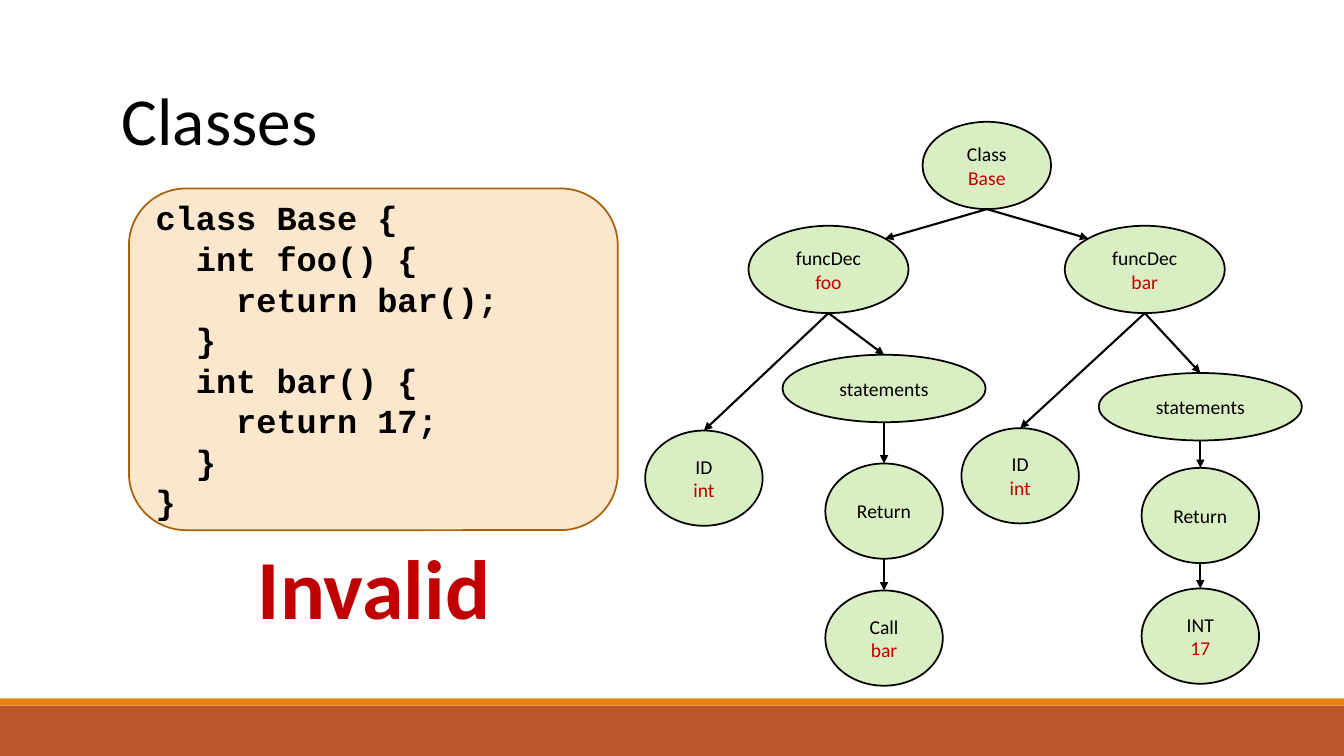
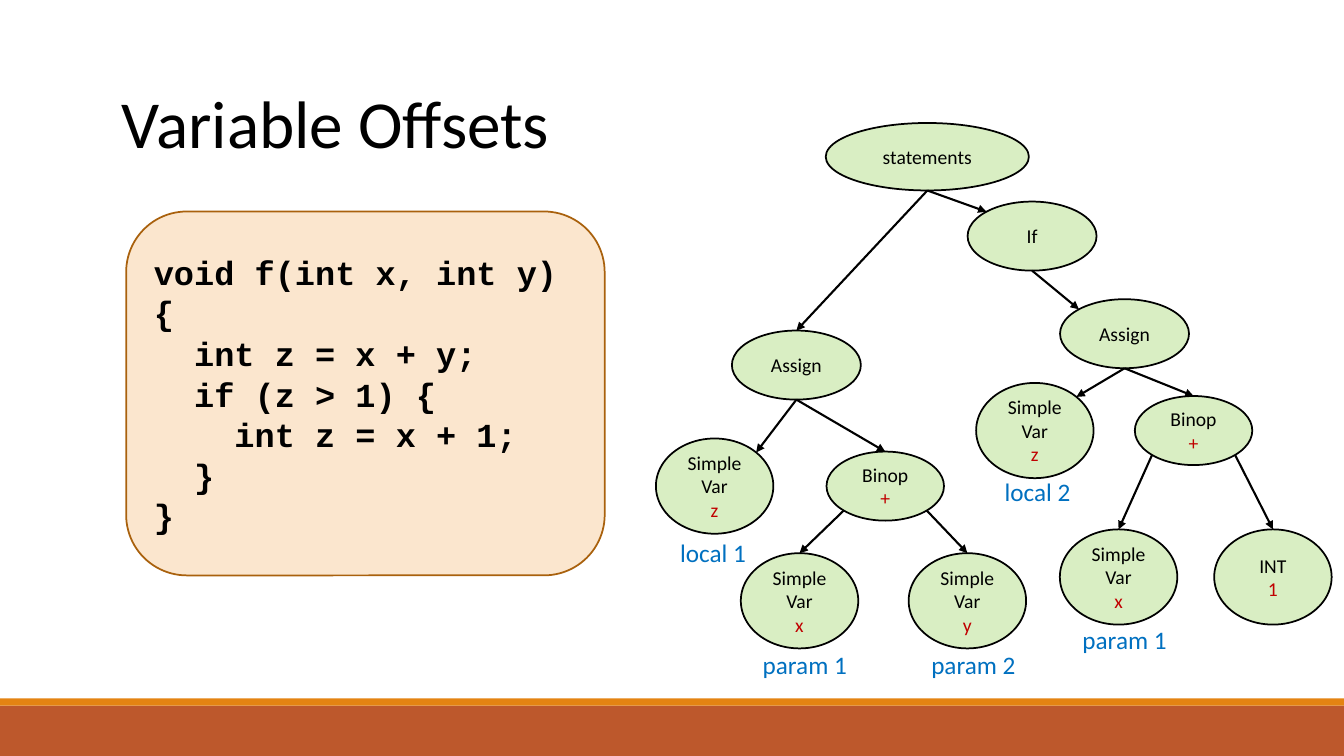
from math import sqrt

from lxml.etree import SubElement
from pptx import Presentation
from pptx.dml.color import RGBColor
from pptx.enum.shapes import MSO_CONNECTOR, MSO_SHAPE
from pptx.enum.text import MSO_ANCHOR, PP_ALIGN
from pptx.oxml.ns import qn
from pptx.util import Cm, Pt

BLACK = RGBColor(0x00, 0x00, 0x00)
RED = RGBColor(0xC0, 0x00, 0x00)
BLUE = RGBColor(0x00, 0x70, 0xC0)
GREEN = RGBColor(0x92, 0xD0, 0x50)
CREAM = RGBColor(0xFB, 0xE6, 0xCE)
BROWN = RGBColor(0xA9, 0x61, 0x0D)
RUST = RGBColor(0xBD, 0x58, 0x2C)
ORANGE = RGBColor(0xE4, 0x83, 0x12)

WIDTH, HEIGHT = 33.87, 19.05
BANDS = [(17.78, 1.27, RUST), (17.6, 0.18, ORANGE)]

CLASS, FUNCTION, STATEMENTS = (3.24, 2.2), (4.03, 2.2), (5.12, 1.7)
LEAF, STEP, BINOP = (2.96, 2.4), (3.25, 1.74), (2.96, 1.74)

TOP, TOP_LEFT, BOTTOM_LEFT, BOTTOM, BOTTOM_RIGHT, TOP_RIGHT = 0, 1, 3, 4, 5, 7
DIAGONAL = sqrt(0.5)
SITES = {
    TOP: (0, -1),
    TOP_LEFT: (-DIAGONAL, -DIAGONAL),
    BOTTOM_LEFT: (-DIAGONAL, DIAGONAL),
    BOTTOM: (0, 1),
    BOTTOM_RIGHT: (DIAGONAL, DIAGONAL),
    TOP_RIGHT: (DIAGONAL, -DIAGONAL),
}

# nodes: size, centre, top, words, value
SLIDES = [
    {
        "title": ("Classes", 1.85),
        "code": ((3.25, 4.75, 12.32, 8.61), [
            "class Base {",
            "  int foo() {",
            "    return bar();",
            "  }",
            "  int bar() {",
            "    return 17;",
            "  }",
            "}",
        ]),
        "verdict": "Invalid",
        "nodes": {
            "class": (CLASS, 24.87, 3.07, ["Class"], "Base"),
            "foo": (FUNCTION, 20.88, 5.69, ["funcDec"], "foo"),
            "foo id": (LEAF, 17.74, 10.85, ["ID"], "int"),
            "foo statements": (STATEMENTS, 22.28, 8.94, ["statements"], None),
            "foo return": (LEAF, 22.28, 11.68, ["Return"], None),
            "call": (LEAF, 22.28, 14.88, ["Call"], "bar"),
            "bar": (FUNCTION, 28.85, 5.69, ["funcDec"], "bar"),
            "bar id": (LEAF, 25.71, 10.79, ["ID"], "int"),
            "bar statements": (STATEMENTS, 30.25, 9.4, ["statements"], None),
            "bar return": (LEAF, 30.25, 11.79, ["Return"], None),
            "number": (LEAF, 30.25, 14.83, ["INT"], "17"),
        },
        "arrows": [
            ("class", BOTTOM, "foo", TOP_RIGHT),
            ("class", BOTTOM, "bar", TOP_LEFT),
            ("foo", BOTTOM, "foo id", TOP),
            ("foo", BOTTOM, "foo statements", TOP),
            ("foo statements", BOTTOM, "foo return", TOP),
            ("foo return", BOTTOM, "call", TOP),
            ("bar", BOTTOM, "bar id", TOP),
            ("bar", BOTTOM, "bar statements", TOP),
            ("bar statements", BOTTOM, "bar return", TOP),
            ("bar return", BOTTOM, "number", TOP),
        ],
        "labels": [],
    },
    {
        "title": ("Variable Offsets", 1.93),
        "code": ((3.18, 5.33, 12.06, 9.17), [
            "void f(int x, int y){",
            "  int z = x + y;",
            "  if (z > 1) {",
            "    int z = x + 1;",
            "  }",
            "}",
        ]),
        "verdict": None,
        "nodes": {
            "statements": (STATEMENTS, 23.37, 3.1, ["statements"], None),
            "if": (STEP, 26.01, 5.08, ["If"], None),
            "outer assign": (STEP, 20.07, 8.33, ["Assign"], None),
            "outer z": (LEAF, 18.01, 11.05, ["Simple", "Var"], "z"),
            "outer sum": (BINOP, 22.31, 11.38, ["Binop"], "+"),
            "outer x": (LEAF, 20.15, 13.94, ["Simple", "Var"], "x"),
            "outer y": (LEAF, 24.38, 13.94, ["Simple", "Var"], "y"),
            "inner assign": (STEP, 28.34, 7.54, ["Assign"], None),
            "inner z": (LEAF, 26.08, 9.65, ["Simple", "Var"], "z"),
            "inner sum": (BINOP, 30.08, 9.98, ["Binop"], "+"),
            "inner x": (LEAF, 28.19, 13.34, ["Simple", "Var"], "x"),
            "number": (LEAF, 32.08, 13.34, ["INT"], "1"),
        },
        "arrows": [
            ("statements", BOTTOM, "if", TOP_LEFT),
            ("statements", BOTTOM, "outer assign", TOP),
            ("outer assign", BOTTOM, "outer z", TOP_RIGHT),
            ("outer assign", BOTTOM, "outer sum", TOP),
            ("outer sum", BOTTOM_LEFT, "outer x", TOP),
            ("outer sum", BOTTOM_RIGHT, "outer y", TOP),
            ("if", BOTTOM, "inner assign", TOP_LEFT),
            ("inner assign", BOTTOM, "inner z", TOP_RIGHT),
            ("inner assign", BOTTOM, "inner sum", TOP),
            ("inner sum", BOTTOM_LEFT, "inner x", TOP),
            ("inner sum", BOTTOM_RIGHT, "number", TOP),
        ],
        "labels": [
            ("local 1", 16.89, 13.41),
            ("param 1", 18.97, 16.23),
            ("param 2", 23.22, 16.23),
            ("local 2", 25.07, 11.89),
            ("param 1", 27.03, 15.6),
        ],
    },
]


def write(box, lines, size, color=BLACK, font="Calibri", bold=False,
          align=PP_ALIGN.LEFT, anchor=MSO_ANCHOR.TOP, spacing=None):
    frame = box.text_frame
    frame.word_wrap = True
    frame.vertical_anchor = anchor
    for index, line in enumerate(lines):
        para = frame.add_paragraph() if index else frame.paragraphs[0]
        para.alignment = align
        para.line_spacing = spacing
        span = para.add_run()
        span.text = line
        span.font.name = font
        span.font.size = Pt(size)
        span.font.bold = bold
        span.font.color.rgb = color
    return frame


def add_text(page, place, text, size, **style):
    box = page.shapes.add_textbox(*map(Cm, place))
    write(box, [text], size, **style)


def add_shape(page, kind, place, fill, line=None):
    shape = page.shapes.add_shape(kind, *map(Cm, place))
    shape.shadow.inherit = False
    shape.fill.solid()
    shape.fill.fore_color.rgb = fill
    if line is None:
        shape.line.fill.background()
    else:
        shape.line.color.rgb = line
        shape.line.width = Pt(1.25)
    return shape


def add_node(page, size, centre, top, words, value):
    width, height = size
    place = (centre - width / 2, top, width, height)
    node = add_shape(page, MSO_SHAPE.OVAL, place, GREEN, BLACK)
    color = node.element.spPr.find(qn("a:solidFill"))[0]
    SubElement(color, qn("a:alpha"), val="34000")
    lines = words + [value] if value else words
    frame = write(node, lines, 14, align=PP_ALIGN.CENTER, anchor=MSO_ANCHOR.MIDDLE)
    if value:
        frame.paragraphs[-1].runs[0].font.color.rgb = RED
    return node


def site_point(node, site):
    across, down = SITES[site]
    return (round(node.left + node.width * (1 + across) / 2),
            round(node.top + node.height * (1 + down) / 2))


def add_arrow(page, start, start_site, end, end_site):
    arrow = page.shapes.add_connector(
        MSO_CONNECTOR.STRAIGHT, *site_point(start, start_site), *site_point(end, end_site))
    arrow.line.color.rgb = BLACK
    arrow.line.width = Pt(1.5)
    ends = arrow.element.nvCxnSpPr.cNvCxnSpPr
    for tag, node, site in (("a:stCxn", start, start_site), ("a:endCxn", end, end_site)):
        SubElement(ends, qn(tag), id=str(node.shape_id), idx=str(site))
    properties = arrow.element.spPr
    SubElement(properties.find(qn("a:ln")), qn("a:tailEnd"), type="triangle")
    SubElement(properties, qn("a:effectLst"))


def add_bands(deck, page):
    for top, height, color in BANDS:
        band = add_shape(page, MSO_SHAPE.RECTANGLE, (0, top, WIDTH, height), color)
        deck.slide_master.shapes.element.append(band.element)


def build_slide(page, content):
    title, title_top = content["title"]
    add_text(page, (2.82, title_top, 28.17, 2.31), title, 48)
    place, lines = content["code"]
    panel = add_shape(page, MSO_SHAPE.ROUNDED_RECTANGLE, place, CREAM, BROWN)
    write(panel, lines, 24, font="Courier New", bold=True,
          anchor=MSO_ANCHOR.MIDDLE, spacing=Pt(29))
    if content["verdict"]:
        add_text(page, (5.54, 13.36, 7.77, 2.82), content["verdict"], 60,
                 color=RED, bold=True, align=PP_ALIGN.CENTER)
    nodes = {name: add_node(page, *node) for name, node in content["nodes"].items()}
    for start, start_site, end, end_site in content["arrows"]:
        add_arrow(page, nodes[start], start_site, nodes[end], end_site)
    for text, left, top in content["labels"]:
        add_text(page, (left, top, 3, 1.02), text, 18, color=BLUE)


def main():
    deck = Presentation()
    deck.slide_width, deck.slide_height = Cm(WIDTH), Cm(HEIGHT)
    pages = [deck.slides.add_slide(deck.slide_layouts[6]) for _ in SLIDES]
    add_bands(deck, pages[0])
    for page, content in zip(pages, SLIDES):
        build_slide(page, content)
    deck.save("out.pptx")


if __name__ == "__main__":
    main()
